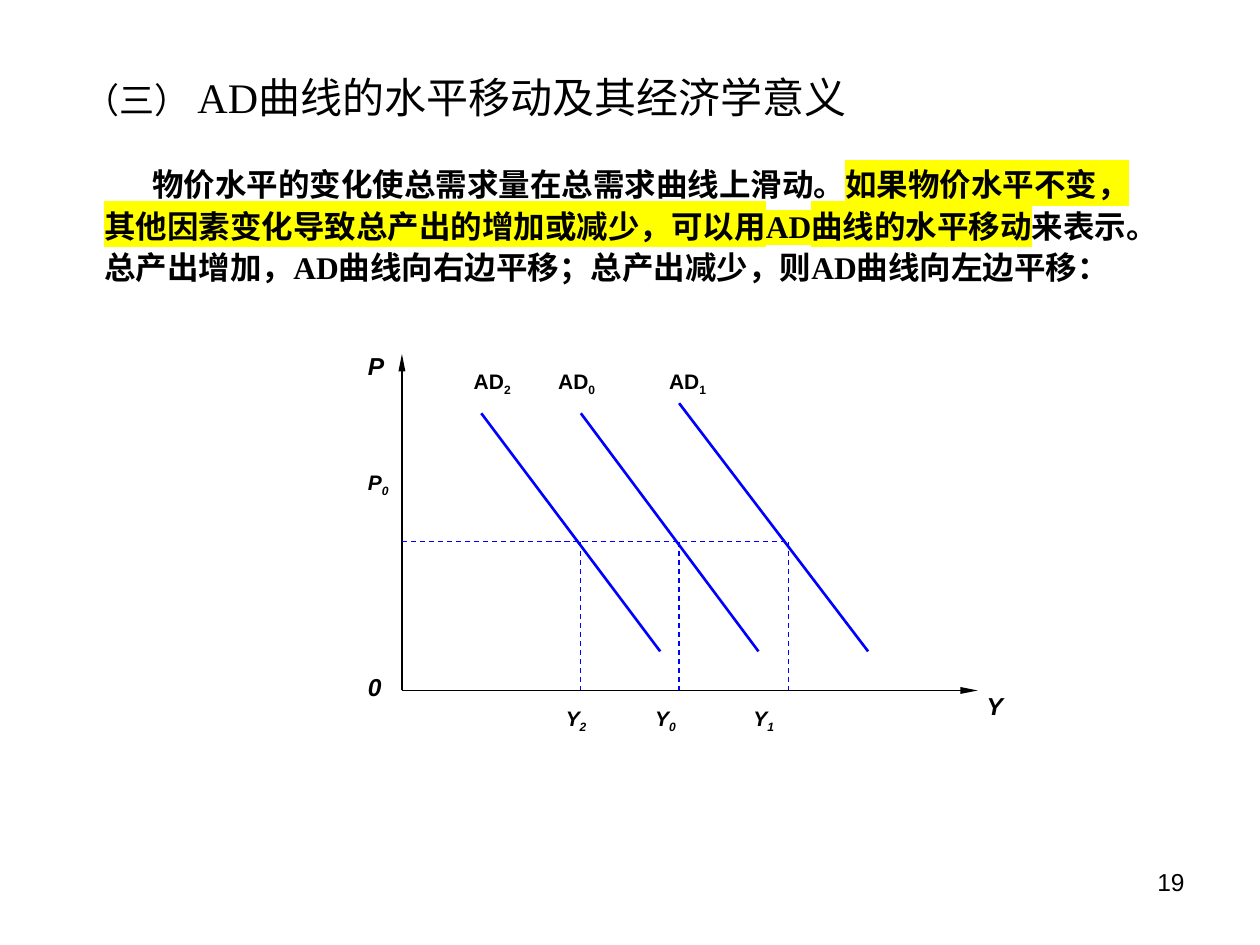
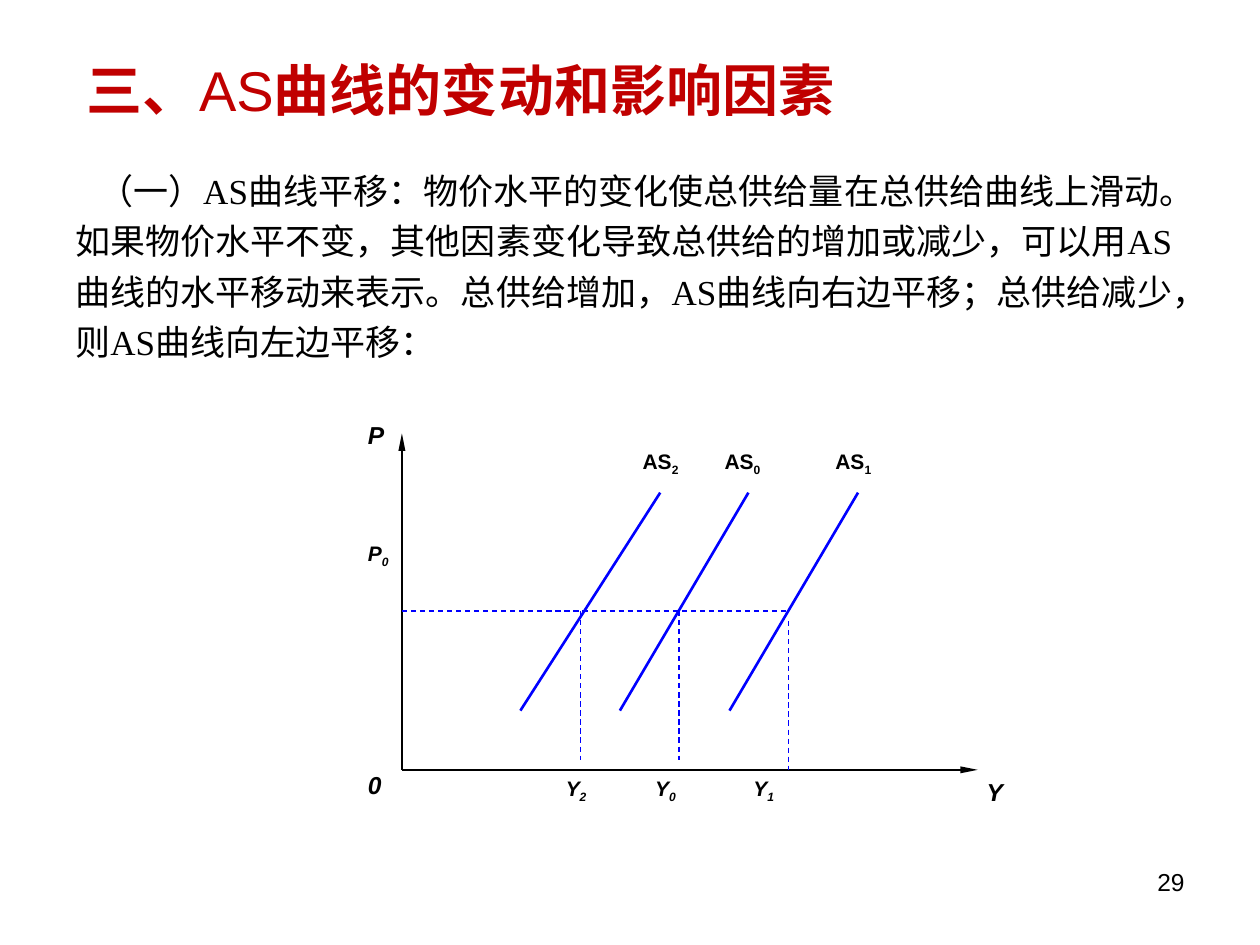
"""Build two economics slides on shifts of the AD and AS curves."""
from dataclasses import dataclass

from lxml.etree import SubElement
from pptx import Presentation
from pptx.dml.color import RGBColor
from pptx.enum.dml import MSO_LINE
from pptx.enum.shapes import MSO_CONNECTOR
from pptx.enum.text import MSO_ANCHOR, MSO_AUTO_SIZE, PP_ALIGN
from pptx.oxml.ns import qn
from pptx.util import Inches, Pt

BLACK, RED, BLUE, YELLOW = "000000", "C00000", "0000FF", "FFFF00"
SANS, SERIF = "Arial", "Times New Roman"
AXIS_X, AXIS_END, LETTER_X = 3.19, 7.76, 2.92
OUTPUT_XS = (4.61, 5.39, 6.26)
OUTPUT_LABEL_XS = (4.49, 5.2, 5.98)
SUBSCRIPTS = ("2", "0", "1")


@dataclass(frozen=True)
class Span:
    text: str
    size: float
    font: str = SANS
    color: str = BLACK
    bold: bool = False
    italic: bool = False
    highlight: str = ""
    subscript: bool = False


@dataclass(frozen=True)
class Box:
    left: float
    top: float
    width: float
    height: float


@dataclass(frozen=True)
class Body:
    box: Box
    spans: tuple[Span, ...]
    line_spacing: float
    first_indent: float


@dataclass(frozen=True)
class Curve:
    start: tuple[float, float]
    end: tuple[float, float]
    label_x: float
    drop_top: float
    drop_bottom: float


@dataclass(frozen=True)
class Diagram:
    name: str
    axis_top: float
    base: float
    price: float
    curves: tuple[Curve, ...]
    name_y: float
    price_axis_y: float
    price_label_y: float
    origin_y: float
    output_label_y: float
    output_axis_y: float


@dataclass(frozen=True)
class Page:
    number: str
    title_box: Box
    title: tuple[Span, ...]
    title_anchor: MSO_ANCHOR
    body: Body
    diagram: Diagram


def rgb(color: str) -> RGBColor:
    return RGBColor.from_string(color)


def add_spans(paragraph, spans: tuple[Span, ...]) -> None:
    for span in spans:
        run = paragraph.add_run()
        run.text = span.text
        font = run.font
        font.size, font.bold, font.italic = Pt(span.size), span.bold, span.italic
        font.color.rgb = rgb(span.color)
        properties = run._r.get_or_add_rPr()
        if span.highlight:
            highlight = SubElement(properties, qn("a:highlight"))
            SubElement(highlight, qn("a:srgbClr"), val=span.highlight)
        if span.subscript:
            properties.set("baseline", "-25000")
        font.name = span.font


def add_text(slide, box: Box, spans: tuple[Span, ...], wrap: bool = True):
    shape = slide.shapes.add_textbox(
        Inches(box.left), Inches(box.top), Inches(box.width), Inches(box.height))
    shape.text_frame.word_wrap = wrap
    add_spans(shape.text_frame.paragraphs[0], spans)
    return shape


def add_title(slide, page: Page) -> None:
    title, box = slide.shapes.title, page.title_box
    title.left, title.top = Inches(box.left), Inches(box.top)
    title.width, title.height = Inches(box.width), Inches(box.height)
    frame = title.text_frame
    frame.auto_size = MSO_AUTO_SIZE.NONE
    frame.vertical_anchor = page.title_anchor
    frame.paragraphs[0].alignment = PP_ALIGN.LEFT
    add_spans(frame.paragraphs[0], page.title)


def add_body(slide, body: Body) -> None:
    shape = add_text(slide, body.box, body.spans)
    paragraph = shape.text_frame.paragraphs[0]
    paragraph.line_spacing = body.line_spacing
    properties = paragraph._p.get_or_add_pPr()
    properties.set("marL", str(Inches(0.38)))
    properties.set("indent", str(Inches(body.first_indent)))


def add_line(slide, start: tuple[float, float], end: tuple[float, float], color: str,
             width: float, dashed: bool = False, arrow: bool = False) -> None:
    connector = slide.shapes.add_connector(
        MSO_CONNECTOR.STRAIGHT, *(Inches(value) for value in start + end))
    connector.line.color.rgb = rgb(color)
    connector.line.width = Pt(width)
    if dashed:
        connector.line.dash_style = MSO_LINE.DASH
    if arrow:
        SubElement(connector.line._get_or_add_ln(), qn("a:tailEnd"),
                   type="triangle", w="sm", len="lg")
    SubElement(connector._element.spPr, qn("a:effectLst"))


def add_label(slide, left: float, middle: float, letter: str, subscript: str = "",
              size: float = 12, italic: bool = True) -> None:
    spans = [Span(letter, size, bold=True, italic=italic)]
    if subscript:
        spans.append(Span(subscript, size, bold=True, italic=italic, subscript=True))
    shape = add_text(slide, Box(left, middle - 0.12, 0.45, 0.24), tuple(spans), wrap=False)
    frame = shape.text_frame
    frame.margin_left = frame.margin_right = frame.margin_top = frame.margin_bottom = 0
    frame.vertical_anchor = MSO_ANCHOR.MIDDLE


def add_diagram(slide, diagram: Diagram) -> None:
    origin = (AXIS_X, diagram.base)
    add_line(slide, origin, (AXIS_X, diagram.axis_top), BLACK, 1, arrow=True)
    add_line(slide, origin, (AXIS_END, diagram.base), BLACK, 1, arrow=True)
    add_line(slide, (AXIS_X, diagram.price), (OUTPUT_XS[-1], diagram.price),
             BLUE, 0.75, dashed=True)
    for curve, output_x, label_x, subscript in zip(
            diagram.curves, OUTPUT_XS, OUTPUT_LABEL_XS, SUBSCRIPTS):
        add_line(slide, curve.start, curve.end, BLUE, 1.5)
        add_line(slide, (output_x, curve.drop_top), (output_x, curve.drop_bottom),
                 BLUE, 0.75, dashed=True)
        add_label(slide, curve.label_x, diagram.name_y, diagram.name, subscript, italic=False)
        add_label(slide, label_x, diagram.output_label_y, "Y", subscript)
    add_label(slide, LETTER_X, diagram.price_axis_y, "P", size=14)
    add_label(slide, LETTER_X, diagram.price_label_y, "P", "0")
    add_label(slide, LETTER_X, diagram.origin_y, "0", size=14)
    add_label(slide, 7.83, diagram.output_axis_y, "Y", size=14)


def add_page(presentation, page: Page) -> None:
    slide = presentation.slides.add_slide(presentation.slide_layouts[5])
    add_title(slide, page)
    add_body(slide, page.body)
    add_diagram(slide, page.diagram)
    number = add_text(slide, Box(7.17, 6.83, 2.33, 0.52), (Span(page.number, 14),))
    number.text_frame.paragraphs[0].alignment = PP_ALIGN.RIGHT


DEMAND = Page(
    number="19",
    title_box=Box(0.57, 0.3, 8.93, 0.93),
    title=(Span("（三） ", 20), Span("AD曲线的水平移动及其经济学意义", 24, SERIF)),
    title_anchor=MSO_ANCHOR.MIDDLE,
    body=Body(Box(0.35, 1.23, 8.9, 1.18), (
        Span("物价水平的变化使总需求量在总需求曲线上滑动。", 18, SERIF, bold=True),
        Span("如果物价水平不变，其他因素变化导致总产出的增加或减少，可以用AD曲线的水平移动",
             18, SERIF, bold=True, highlight=YELLOW),
        Span("来表示。总产出增加，AD曲线向右边平移；总产出减少，则AD曲线向左边平移：",
             18, SERIF, bold=True),
    ), line_spacing=1.1, first_indent=0.38),
    diagram=Diagram(
        "AD", axis_top=2.81, base=5.48, price=4.3,
        curves=(Curve((3.82, 3.28), (5.24, 5.17), 3.76, 4.3, 5.48),
                Curve((4.61, 3.28), (6.02, 5.17), 4.43, 4.3, 5.48),
                Curve((5.39, 3.2), (6.89, 5.17), 5.31, 4.3, 5.48)),
        name_y=3.04, price_axis_y=2.9, price_label_y=3.84,
        origin_y=5.45, output_label_y=5.71, output_axis_y=5.6),
)

SUPPLY = Page(
    number="29",
    title_box=Box(0.59, 0.39, 6.93, 0.64),
    title=(Span("三、", 32, color=RED, bold=True), Span("AS", 32, color=RED),
           Span("曲线的变动和影响因素", 32, color=RED, bold=True)),
    title_anchor=MSO_ANCHOR.TOP,
    body=Body(Box(0.12, 1.23, 9.53, 1.42), (
        Span("（一）AS曲线平移：物价水平的变化使总供给量在总供给曲线上滑动。"
             "如果物价水平不变，其他因素变化导致总供给的增加或减少，"
             "可以用AS曲线的水平移动来表示。总供给增加，AS曲线向右边平移；"
             "总供给减少，则AS曲线向左边平移：", 20, SERIF),
    ), line_spacing=1.2, first_indent=0.18),
    diagram=Diagram(
        "AS", axis_top=3.44, base=6.11, price=4.85,
        curves=(Curve((4.13, 5.64), (5.24, 3.91), 5.1, 4.85, 6.03),
                Curve((4.92, 5.64), (5.94, 3.91), 5.75, 4.85, 6.03),
                Curve((5.79, 5.64), (6.81, 3.91), 6.63, 4.93, 6.11)),
        name_y=3.67, price_axis_y=3.45, price_label_y=4.4,
        origin_y=6.23, output_label_y=6.27, output_axis_y=6.28),
)


def main() -> None:
    presentation = Presentation()
    presentation.slide_width, presentation.slide_height = Inches(10), Inches(7.5)
    for page in (DEMAND, SUPPLY):
        add_page(presentation, page)
    presentation.save("out.pptx")


if __name__ == "__main__":
    main()
